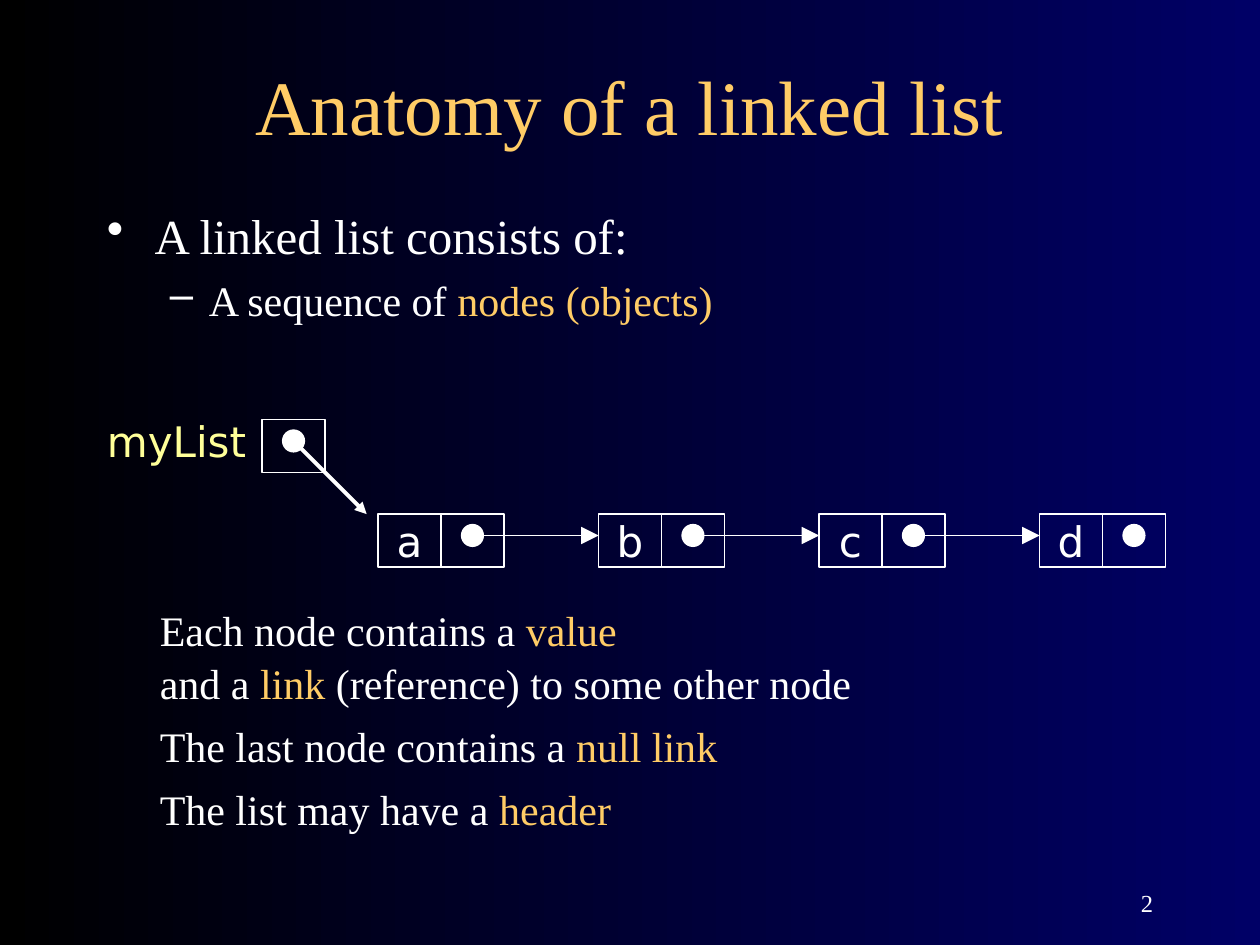
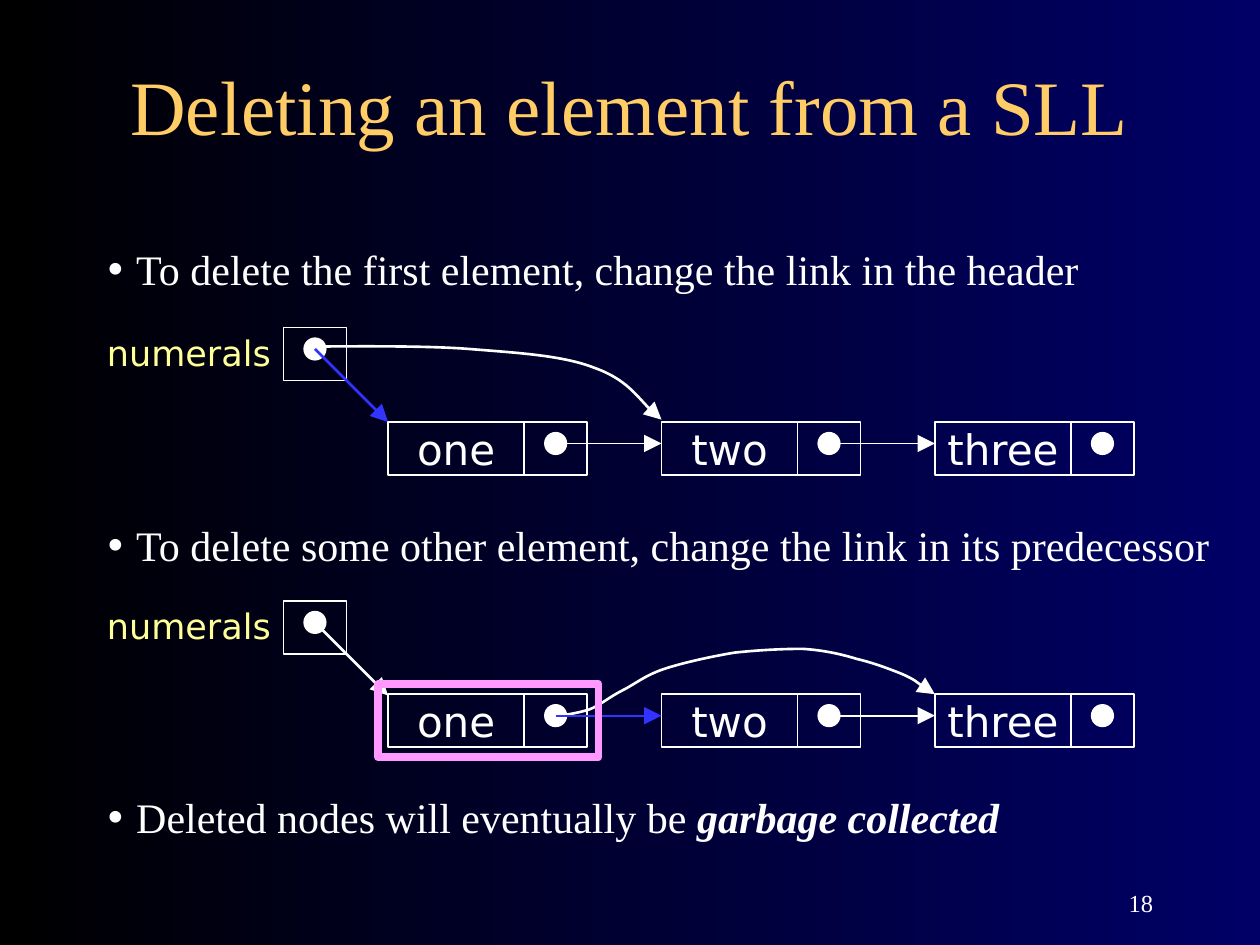
"""Build two slides on singly linked lists: their anatomy and deleting an element."""
from dataclasses import dataclass
from itertools import pairwise

from lxml import etree
from pptx import Presentation
from pptx.dml.color import RGBColor
from pptx.enum.shapes import MSO_CONNECTOR, MSO_SHAPE
from pptx.enum.text import MSO_ANCHOR, PP_ALIGN
from pptx.oxml.ns import qn
from pptx.util import Inches, Pt

RECT, OVAL, STRAIGHT = MSO_SHAPE.RECTANGLE, MSO_SHAPE.OVAL, MSO_CONNECTOR.STRAIGHT
TOP, MIDDLE, BOTTOM = MSO_ANCHOR.TOP, MSO_ANCHOR.MIDDLE, MSO_ANCHOR.BOTTOM
LEFT, CENTER, RIGHT = PP_ALIGN.LEFT, PP_ALIGN.CENTER, PP_ALIGN.RIGHT

COLORS = {
    "white": "FFFFFF",
    "gold": "FFCC66",
    "yellow": "FFFF99",
    "blue": "3333FF",
    "pink": "FF99FF",
    "bg_left": "000000",
    "bg_right": "000066",
}
SERIF, SANS = "Times New Roman", "DejaVu Sans"
CELL_W, CELL_H = 0.5, 0.42
DOT = 0.17
DOT_X, DOT_Y = 0.25, 0.17
HEADER_DROP = 0.58


@dataclass(frozen=True)
class Span:
    text: str
    color: str = "white"
    size: float = 24
    strong: bool = False
    font: str = SERIF


@dataclass(frozen=True)
class Box:
    left: float
    top: float
    width: float
    height: float

    def lengths(self) -> list:
        return [Inches(v) for v in (self.left, self.top, self.width, self.height)]


@dataclass(frozen=True)
class Stroke:
    color: str = "white"
    width: float = 1
    head: str = "lg"


@dataclass(frozen=True)
class LinkedList:
    name: Span
    name_box: Box
    header: tuple[float, float]
    header_link: Stroke
    first_node: tuple[float, float]
    step: float
    value_w: float
    values: tuple[str, ...]
    changed_link: int = -1


def rgb(name: str) -> RGBColor:
    return RGBColor.from_string(COLORS[name])


def add_spans(p, spans: tuple[Span, ...]) -> None:
    for span in spans:
        r = p.add_run()
        r.text = span.text
        font = r.font
        font.name, font.size = span.font, Pt(span.size)
        font.color.rgb = rgb(span.color)
        if span.strong:
            font.bold = font.italic = True


def add_text(slide, box: Box, *spans: Span, align=LEFT, anchor=TOP):
    tf = slide.shapes.add_textbox(*box.lengths()).text_frame
    tf.word_wrap = True
    tf.vertical_anchor = anchor
    p = tf.paragraphs[0]
    p.alignment = align
    add_spans(p, spans)
    return tf


def set_bullet(p, char: str, margin: float, hanging: float, before: float) -> None:
    p.space_before = Pt(before)
    pPr = p._p.get_or_add_pPr()
    pPr.set("marL", str(Inches(margin)))
    pPr.set("indent", str(-Inches(hanging)))
    etree.SubElement(pPr, qn("a:buChar")).set("char", char)


def add_shape(slide, kind, box: Box, stroke: Stroke = Stroke(), filled: bool = False):
    sp = slide.shapes.add_shape(kind, *box.lengths())
    sp.shadow.inherit = False
    if filled:
        sp.fill.solid()
        sp.fill.fore_color.rgb = rgb(stroke.color)
    else:
        sp.fill.background()
    sp.line.color.rgb = rgb(stroke.color)
    sp.line.width = Pt(stroke.width)
    return sp


def style_arrow(sp, stroke: Stroke) -> None:
    sp.line.color.rgb = rgb(stroke.color)
    sp.line.width = Pt(stroke.width)
    tail = etree.SubElement(sp.line._get_or_add_ln(), qn("a:tailEnd"))
    tail.set("type", "triangle")
    tail.set("w", stroke.head)
    tail.set("len", stroke.head)


def add_arrow(slide, start: tuple, end: tuple, stroke: Stroke = Stroke()) -> None:
    sp = slide.shapes.add_connector(STRAIGHT, *(Inches(v) for v in start + end))
    style_arrow(sp, stroke)
    etree.SubElement(sp._element.spPr, qn("a:effectLst"))


def add_curve(slide, points: list[tuple[float, float]], stroke: Stroke) -> None:
    start, *rest = [(Inches(x), Inches(y)) for x, y in points]
    builder = slide.shapes.build_freeform(*start, scale=1.0)
    builder.add_line_segments(rest, close=False)
    sp = builder.convert_to_shape()
    segments = sp._element.xpath(".//a:lnTo")
    for i in range(0, len(segments), 3):
        curve, *others = segments[i:i + 3]
        curve.tag = qn("a:cubicBezTo")
        for seg in others:
            curve.append(seg[0])
            seg.getparent().remove(seg)
    sp.shadow.inherit = False
    sp.fill.background()
    style_arrow(sp, stroke)


def add_link_cell(slide, left: float, top: float) -> tuple[float, float]:
    add_shape(slide, RECT, Box(left, top, CELL_W, CELL_H))
    x, y = left + DOT_X, top + DOT_Y
    add_shape(slide, OVAL, Box(x - DOT / 2, y - DOT / 2, DOT, DOT), filled=True)
    return x, y


def add_value_cell(slide, box: Box, value: str) -> None:
    tf = add_shape(slide, RECT, box).text_frame
    tf.word_wrap = False
    tf.vertical_anchor = MIDDLE
    p = tf.paragraphs[0]
    p.alignment = CENTER
    add_spans(p, (Span(value, font=SANS),))


def add_linked_list(slide, item: LinkedList) -> None:
    add_text(slide, item.name_box, item.name)
    x, y = add_link_cell(slide, *item.header)
    add_arrow(slide, (x, y), (x + HEADER_DROP, y + HEADER_DROP), item.header_link)
    left, top = item.first_node
    lefts = [left + i * item.step for i in range(len(item.values))]
    dots = []
    for node_left, value in zip(lefts, item.values):
        add_value_cell(slide, Box(node_left, top, item.value_w, CELL_H), value)
        dots.append(add_link_cell(slide, node_left + item.value_w, top))
    for i, (here, after) in enumerate(pairwise(range(len(lefts)))):
        color = "blue" if i == item.changed_link else "white"
        add_arrow(slide, dots[here], (lefts[after], dots[here][1]), Stroke(color))


def new_slide(prs, title: str, number: int):
    slide = prs.slides.add_slide(prs.slide_layouts[6])
    fill = slide.background.fill
    fill.gradient()
    fill.gradient_angle = 0
    for stop, name in zip(fill.gradient_stops, ("bg_left", "bg_right")):
        stop.color.rgb = rgb(name)
    add_text(slide, Box(7.17, 6.83, 2.08, 0.5), Span(str(number), size=14),
             align=RIGHT, anchor=BOTTOM)
    add_text(slide, Box(0.75, 0.42, 8.5, 0.83), Span(title, "gold", 44),
             align=CENTER, anchor=MIDDLE)
    return slide


def build_anatomy(prs) -> None:
    slide = new_slide(prs, "Anatomy of a linked list", 2)
    tf = add_text(slide, Box(0.75, 1.58, 8.5, 1.58), Span("A linked list consists of:", size=28))
    set_bullet(tf.paragraphs[0], "•", 0.38, 0.38, 7)
    p = tf.add_paragraph()
    p.level = 1
    add_spans(p, (Span("A sequence of "), Span("nodes (objects)", "gold")))
    set_bullet(p, "–", 0.81, 0.31, 6)

    add_linked_list(slide, LinkedList(
        Span("myList", "yellow", font=SANS), Box(0.75, 3.25, 1.42, 0.5),
        (2.08, 3.33), Stroke(width=2.25, head="med"),
        (3, 4.08), 1.75, 0.5, ("a", "b", "c", "d")))

    facts = (
        (4.75, (Span("Each node contains a "), Span("value", "gold"))),
        (5.17, (Span("and a "), Span("link", "gold"),
                Span(" (reference) to some other node"))),
        (5.67, (Span("The last node contains a "), Span("null link", "gold"))),
        (6.17, (Span("The list may have a "), Span("header", "gold"))),
    )
    for top, spans in facts:
        add_text(slide, Box(1.17, top, 7.67, 0.5), *spans)


def build_deleting(prs) -> None:
    slide = new_slide(prs, "Deleting an element from a SLL", 18)
    skip_first = [
        (2.5, 2.75), (2.7, 2.75), (3.36, 2.74), (3.73, 2.77), (4.1, 2.8),
        (4.47, 2.82), (4.72, 2.92), (4.97, 3.01), (5.14, 3.25), (5.25, 3.33),
    ]
    skip_second = [
        (4.42, 5.68), (4.46, 5.68), (4.59, 5.66), (4.68, 5.63), (4.76, 5.6),
        (4.84, 5.53), (4.94, 5.48), (5.04, 5.43), (5.12, 5.36), (5.27, 5.31),
        (5.42, 5.26), (5.65, 5.21), (5.83, 5.18), (6.02, 5.16), (6.2, 5.15),
        (6.37, 5.15), (6.53, 5.16), (6.67, 5.19), (6.8, 5.23), (6.93, 5.26),
        (7.06, 5.31), (7.16, 5.35), (7.27, 5.4), (7.36, 5.48), (7.42, 5.51),
    ]
    for points in (skip_first, skip_second):
        add_curve(slide, points, Stroke(width=1.5))

    for header_top, node_top, color, changed in (
        (2.6, 3.35, "blue", -1),
        (4.77, 5.51, "white", 0),
    ):
        add_linked_list(slide, LinkedList(
            Span("numerals", "yellow", 20, font=SANS),
            Box(0.75, header_top - 0.02, 1.58, 0.44),
            (2.25, header_top), Stroke(color, 1.5),
            (3.08, node_top), 2.17, 1.08, ("one", "two", "three"), changed))
    add_shape(slide, RECT, Box(3, 5.43, 1.75, 0.58), Stroke("pink", 4.5))

    steps = (
        (1.83, (Span("To delete the first element, change the link in the header"),)),
        (4.02, (Span("To delete some other element, change the link in its predecessor"),)),
        (6.18, (Span("Deleted nodes will eventually be "),
                Span("garbage collected", strong=True))),
    )
    for top, spans in steps:
        add_text(slide, Box(0.75, top, 9, 0.57), Span("• ", size=28), *spans)


def main() -> None:
    prs = Presentation()
    prs.slide_width, prs.slide_height = Inches(10), Inches(7.5)
    build_anatomy(prs)
    build_deleting(prs)
    prs.save("out.pptx")


if __name__ == "__main__":
    main()
